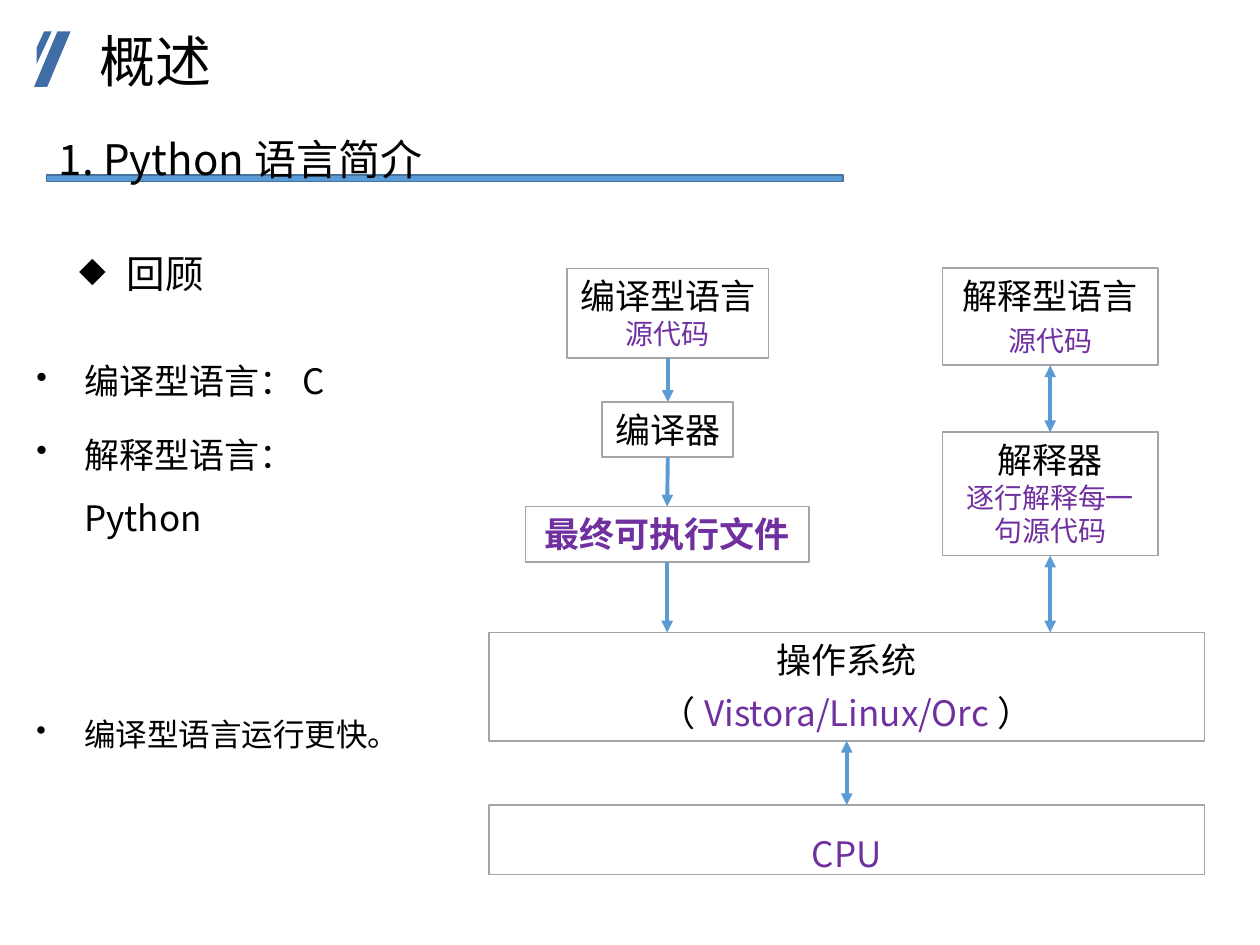
from dataclasses import dataclass

from lxml.etree import SubElement
from pptx import Presentation
from pptx.dml.color import RGBColor
from pptx.enum.shapes import MSO_CONNECTOR, MSO_SHAPE
from pptx.enum.text import MSO_ANCHOR, MSO_AUTO_SIZE, PP_ALIGN
from pptx.oxml.ns import qn
from pptx.util import Inches, Pt


@dataclass(frozen=True)
class Theme:
    font: str = "Noto Sans CJK SC"
    ink: str = "000000"
    accent: str = "7030A0"
    paper: str = "FFFFFF"
    border: str = "A5A5A5"
    flow: str = "5B9BD5"
    rule_edge: str = "43739E"
    mark: str = "406DA5"
    title: int = 32
    section: int = 24
    topic: int = 22
    body: int = 20
    remark: int = 18
    detail: int = 16


THEME = Theme()
COLUMNS, ROWS = 100, 75
WIDTH, HEIGHT = Inches(10), Inches(7.5)
TOP, BOTTOM = 0, 2
LIST_FORMAT = {"line_spacing": 1.5, "space_after": Pt(6)}
CENTERED = {"alignment": PP_ALIGN.CENTER}


def cells(column, row, columns, rows):
    return (round(column * WIDTH / COLUMNS), round(row * HEIGHT / ROWS),
            round(columns * WIDTH / COLUMNS), round(rows * HEIGHT / ROWS))


def apply(target, values):
    for attribute, value in values.items():
        setattr(target, attribute, value)


def write_run(paragraph, text, size=THEME.body, color=THEME.ink, bold=False):
    run = paragraph.add_run()
    run.text = text
    apply(run.font, {"size": Pt(size), "bold": bold, "name": THEME.font})
    run.font.color.rgb = RGBColor.from_string(color)
    SubElement(run.font._element, qn("a:ea"), typeface=THEME.font)


def add_bullet(paragraph, symbol):
    properties = paragraph._p.get_or_add_pPr()
    properties.set("marL", str(Inches(0.38)))
    properties.set("indent", str(-Inches(0.38)))
    SubElement(properties, qn("a:buSzPct"), val="90000")
    SubElement(properties, qn("a:buChar"), char=symbol)


def write_paragraphs(frame, paragraphs, wrap=True, bullet=None):
    apply(frame, {"word_wrap": wrap, "vertical_anchor": MSO_ANCHOR.TOP,
                  "auto_size": MSO_AUTO_SIZE.SHAPE_TO_FIT_TEXT})
    for index, (runs, layout) in enumerate(paragraphs):
        paragraph = frame.add_paragraph() if index else frame.paragraphs[0]
        if bullet:
            add_bullet(paragraph, bullet)
        apply(paragraph, layout)
        for run in runs:
            write_run(paragraph, *run)


def add_text(slide, area, paragraphs, bullet=None):
    label = slide.shapes.add_textbox(*cells(*area))
    write_paragraphs(label.text_frame, paragraphs, bullet=bullet)


def add_figure(slide, kind, area, fill, edge=None):
    figure = slide.shapes.add_shape(kind, *cells(*area))
    figure.shadow.inherit = False
    figure.fill.solid()
    figure.fill.fore_color.rgb = RGBColor.from_string(fill)
    if edge:
        figure.line.color.rgb = RGBColor.from_string(edge)
        figure.line.width = Pt(1)
    else:
        figure.line.fill.background()
    return figure


def add_stage(slide, area, paragraphs, wrap=True):
    stage = add_figure(slide, MSO_SHAPE.RECTANGLE, area, THEME.paper, THEME.border)
    write_paragraphs(stage.text_frame, paragraphs, wrap)
    return stage


def add_arrow(slide, upper, lower, both_ways=False, joins_lower=True):
    center = upper.left + upper.width // 2
    arrow = slide.shapes.add_connector(
        MSO_CONNECTOR.STRAIGHT, center, upper.top + upper.height, center, lower.top)
    arrow.begin_connect(upper, BOTTOM)
    if joins_lower:
        arrow.end_connect(lower, TOP)
    arrow.line.color.rgb = RGBColor.from_string(THEME.flow)
    arrow.line.width = Pt(2.25)
    outline = arrow.line._get_or_add_ln()
    if both_ways:
        SubElement(outline, qn("a:headEnd"), type="triangle")
    SubElement(outline, qn("a:tailEnd"), type="triangle")
    SubElement(arrow._element.spPr, qn("a:effectLst"))


def add_heading(slide):
    slash = add_figure(slide, MSO_SHAPE.PARALLELOGRAM, (2.7, 2.5, 2.9, 4.4), THEME.mark)
    slash.adjustments[0] = 0.64
    add_figure(slide, MSO_SHAPE.DIAGONAL_STRIPE, (2.9, 2.5, 1.2, 2.6), THEME.mark)
    title = slide.shapes.title
    apply(title, dict(zip(("left", "top", "width", "height"), cells(6.9, 2.1, 75, 5.9))))
    apply(title.text_frame, {"vertical_anchor": MSO_ANCHOR.BOTTOM,
                             "auto_size": MSO_AUTO_SIZE.NONE, "word_wrap": True})
    heading = title.text_frame.paragraphs[0]
    apply(heading, {"alignment": PP_ALIGN.LEFT, "line_spacing": 0.9})
    write_run(heading, "概述", THEME.title)
    add_figure(slide, MSO_SHAPE.RECTANGLE, (3.7, 13.9, 63.2, 0.5),
               THEME.flow, THEME.rule_edge)
    add_text(slide, (3.7, 8.1, 54.4, 7.1),
             [([("1. Python语言简介", THEME.section)], {"line_spacing": 1.5})])


def add_review(slide):
    add_text(slide, (5.3, 17.5, 86, 5.9),
             [([("回顾", THEME.topic)], LIST_FORMAT)], bullet="◆")
    add_text(slide, (1.9, 26.4, 32.4, 29), [
        ([("编译型语言：C",)], LIST_FORMAT),
        ([("解释型语言：Python",)], LIST_FORMAT),
        ([("编译型语言运行更快。", THEME.remark)], {**LIST_FORMAT, "space_before": Pt(84)}),
    ], bullet="•")


def add_flow(slide):
    detail = (THEME.detail, THEME.accent)
    spaced = {**CENTERED, "space_after": Pt(6)}
    compiled = add_stage(slide, (45, 21.3, 16, 7.1), [
        ([("编译型语言",)], CENTERED), ([("源代码", *detail)], CENTERED)], wrap=False)
    compiler = add_stage(slide, (47.8, 31.9, 10.4, 4.4), [([("编译器",)], {})], wrap=False)
    executable = add_stage(slide, (41.7, 40.2, 22.5, 4.4), [
        ([("最终可执行文件", THEME.body, THEME.accent, True)], {})], wrap=False)
    interpreted = add_stage(slide, (74.8, 21.3, 17.1, 7.7), [
        ([("解释型语言",)], CENTERED),
        ([("源代码", *detail)], {**CENTERED, "space_before": Pt(4)})])
    interpreter = add_stage(slide, (74.8, 34.3, 17.1, 9.8), [
        ([("解释器",)], CENTERED), ([("逐行解释每一句源代码", *detail)], CENTERED)])
    system = add_stage(slide, (38.8, 50.2, 56.8, 8.6), [
        ([("操作系统",)], spaced),
        ([("（",), ("Vistora/Linux/Orc", THEME.body, THEME.accent), ("）",)], spaced)])
    processor = add_stage(slide, (38.8, 63.9, 56.8, 5.5), [
        ([("CPU", THEME.body, THEME.accent)], {**CENTERED, **LIST_FORMAT})])
    add_arrow(slide, compiled, compiler)
    add_arrow(slide, compiler, executable)
    add_arrow(slide, interpreted, interpreter, both_ways=True)
    add_arrow(slide, interpreter, system, both_ways=True, joins_lower=False)
    add_arrow(slide, system, processor, both_ways=True)
    add_arrow(slide, executable, system, joins_lower=False)


def main():
    presentation = Presentation()
    apply(presentation, {"slide_width": WIDTH, "slide_height": HEIGHT})
    slide = presentation.slides.add_slide(presentation.slide_layouts[5])
    add_heading(slide)
    add_review(slide)
    add_flow(slide)
    presentation.save("out.pptx")


if __name__ == "__main__":
    main()
